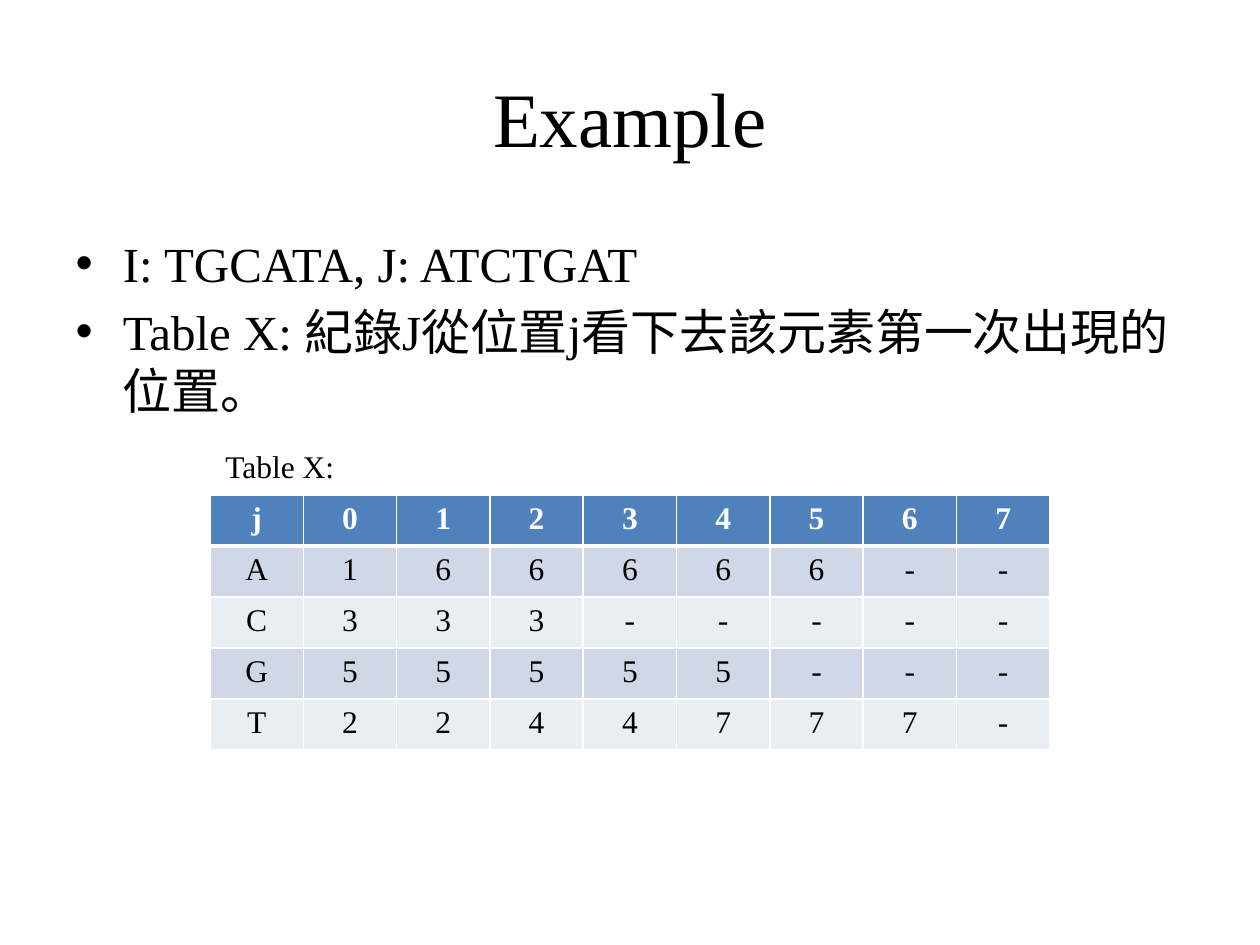
import pptx
import pptx.util
import pptx.dml.color
import pptx.enum.text
import pptx.oxml
import pptx.oxml.ns

FONT = "Times New Roman"
PX = 914400 // 126
BLACK, WHITE = "000000", "FFFFFF"
HEADER_FILL = "4F81BD"
BAND_FILLS = ("E9EDF4", "D0D8E8")

TITLE = "Example"
BULLETS = [
    "I: TGCATA, J: ATCTGAT",
    "Table X: 紀錄J從位置j看下去該元素第一次出現的位置。",
]
CAPTION = "Table X:"
NEXT_POSITIONS = ["j01234567", "A166666--", "C333-----", "G55555---", "T2244777-"]

TITLE_BOX = (63, 38, 1134, 157)
BODY_BOX = (63, 220, 1134, 624)
TABLE_BOX = (210, 495, 840, 255)
CAPTION_BOX = (213, 441, 135, 50)


def color(value):
    return pptx.dml.color.RGBColor.from_string(value)


def scale(box):
    return [length * PX for length in box]


def place(shape, box):
    shape.left, shape.top, shape.width, shape.height = scale(box)


def format_runs(text_frame, size, font_color=BLACK, bold=False):
    for paragraph in text_frame.paragraphs:
        for run in paragraph.runs:
            run.font.name = FONT
            run.font.size = pptx.util.Pt(size)
            run.font.bold = bold
            run.font.color.rgb = color(font_color)


def set_borders(cell, widths):
    """Draw white cell borders; widths maps a side (L, R, T, B) to points."""
    properties = cell._tc.get_or_add_tcPr()
    for index, (side, width) in enumerate(widths.items()):
        line = pptx.oxml.parse_xml(
            f'<a:ln{side} {pptx.oxml.ns.nsdecls("a")} w="{pptx.util.Pt(width)}">'
            f'<a:solidFill><a:srgbClr val="{WHITE}"/></a:solidFill></a:ln{side}>'
        )
        properties.insert(index, line)


def add_position_table(slide):
    row_count, column_count = len(NEXT_POSITIONS), len(NEXT_POSITIONS[0])
    table = slide.shapes.add_table(row_count, column_count, *scale(TABLE_BOX)).table
    for row, values in enumerate(NEXT_POSITIONS):
        is_header = row == 0
        for column, value in enumerate(values):
            cell = table.cell(row, column)
            cell.text_frame.text = value
            cell.text_frame.paragraphs[0].alignment = pptx.enum.text.PP_ALIGN.CENTER
            format_runs(cell.text_frame, 18, WHITE if is_header else BLACK, is_header)
            cell.fill.solid()
            cell.fill.fore_color.rgb = color(HEADER_FILL if is_header else BAND_FILLS[row % 2])
            set_borders(cell, {"L": 1, "R": 1, "T": 3 if row == 1 else 1, "B": 3 if is_header else 1})


def main():
    presentation = pptx.Presentation()
    presentation.slide_width = 1260 * PX
    presentation.slide_height = 945 * PX
    slide = presentation.slides.add_slide(presentation.slide_layouts.get_by_name("Title and Content"))

    title = slide.shapes.title
    place(title, TITLE_BOX)
    title.text_frame.text = TITLE
    format_runs(title.text_frame, 44)

    body = slide.placeholders[1]
    place(body, BODY_BOX)
    body.text_frame.text = "\n".join(BULLETS)
    body.text_frame.margin_top = 13 * PX
    body.text_frame.paragraphs[0].space_before = pptx.util.Pt(0)
    format_runs(body.text_frame, 28)

    add_position_table(slide)

    caption = slide.shapes.add_textbox(*scale(CAPTION_BOX))
    caption.text_frame.text = CAPTION
    caption.text_frame.word_wrap = False
    caption.text_frame.auto_size = pptx.enum.text.MSO_AUTO_SIZE.SHAPE_TO_FIT_TEXT
    format_runs(caption.text_frame, 18)

    presentation.save("out.pptx")


if __name__ == "__main__":
    main()
